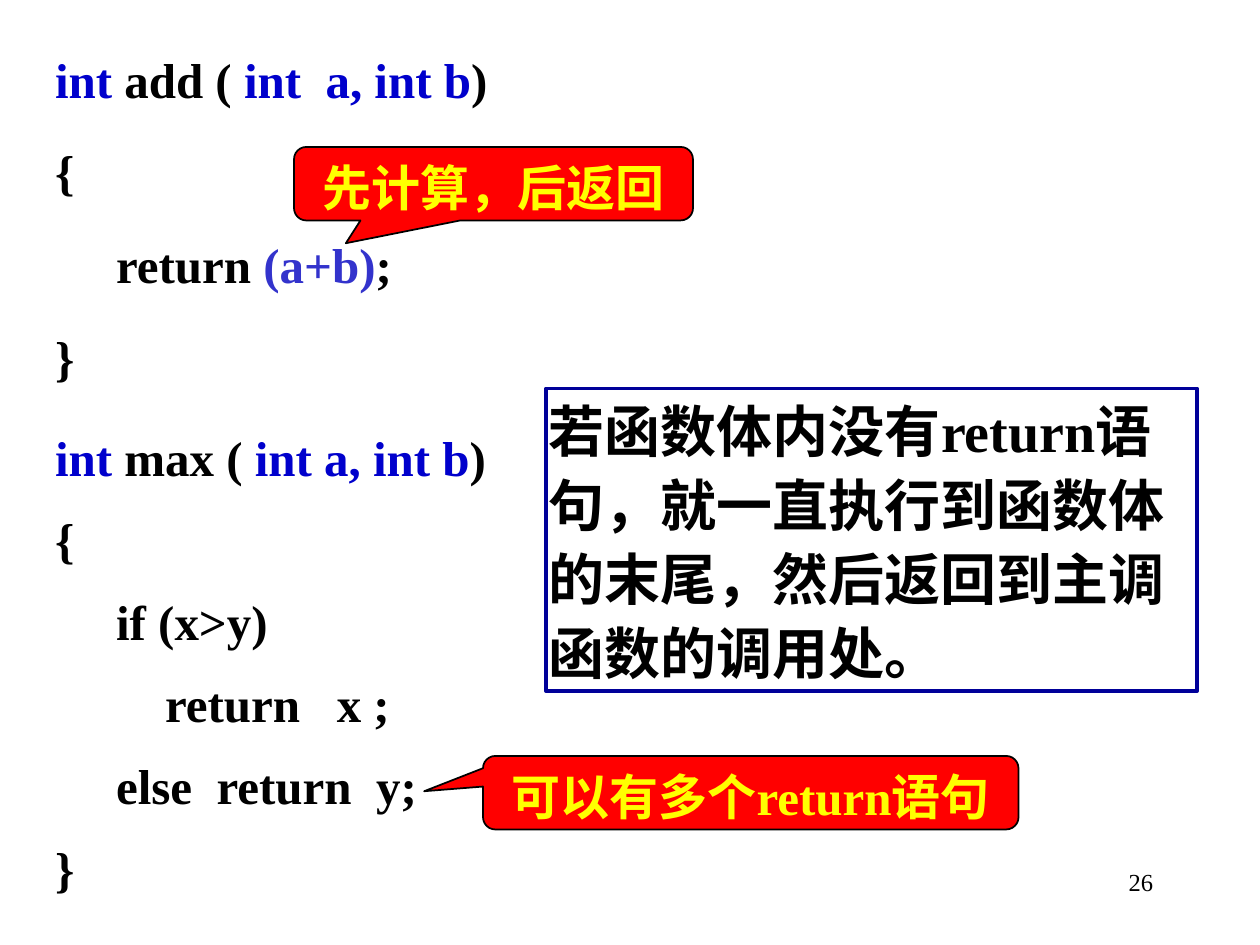
from pptx import Presentation
from pptx.dml.color import RGBColor
from pptx.enum.shapes import MSO_SHAPE
from pptx.enum.text import MSO_ANCHOR, PP_ALIGN
from pptx.util import Inches, Pt

RECT = MSO_SHAPE.RECTANGLE
BUBBLE = MSO_SHAPE.ROUNDED_RECTANGULAR_CALLOUT
TOP = MSO_ANCHOR.TOP
LEFT, MID, RIGHT = PP_ALIGN.LEFT, PP_ALIGN.CENTER, PP_ALIGN.RIGHT
FONT = "Times New Roman"
WIDE, HIGH = Inches(10), Inches(7.5)
COLS, ROWS = 120, 90
BLACK, BLUE, PALE, NAVY = "000000", "0000CC", "3333CC", "000099"
RED, YELLOW, WHITE = "FF0000", "FFFF00", "FFFFFF"

ADD = [
    [("int ", BLUE), ("add ( ", BLACK), ("int  a, int b", BLUE), (")", BLACK)],
    [("{", BLACK)],
    [("     return ", BLACK), ("(a+b)", PALE), (";", BLACK)],
    [("}", BLACK)],
]
MAX = [
    [("int", BLUE), (" max ( ", BLACK), ("int a, int b", BLUE), (")", BLACK)],
    [("{", BLACK)],
    [("     if (x>y)", BLACK)],
    [("         return   x ;", BLACK)],
    [("     else  return  y;", BLACK)],
    [("}", BLACK)],
]


def color(code):
    """Turn a hex string into a colour."""
    return RGBColor.from_string(code)


def place(box):
    """Turn columns and rows of the grid into lengths."""
    left, top, width, height = box
    return (int(WIDE * left / COLS), int(HIGH * top / ROWS),
            int(WIDE * width / COLS), int(HIGH * height / ROWS))


def write(shape, lines, size=28, bold=True, align=LEFT, gap=0, pitch=1.1,
          inset=(0.02, 0.01)):
    """Write lines of coloured runs into a shape."""
    frame = shape.text_frame
    frame.word_wrap = True
    frame.vertical_anchor = TOP
    frame.margin_left = frame.margin_right = Inches(inset[0])
    frame.margin_top = frame.margin_bottom = Inches(inset[1])
    for row, line in enumerate(lines):
        para = frame.add_paragraph() if row else frame.paragraphs[0]
        para.alignment = align
        para.line_spacing = pitch
        para.space_before = Pt(gap if row else 0)
        for text, tint in line:
            run = para.add_run()
            run.text = text
            run.font.name = FONT
            run.font.size = Pt(size)
            run.font.bold = bold
            run.font.color.rgb = color(tint)


def panel(slide, kind, box, fill, edge, width):
    """Draw a filled and outlined shape."""
    shape = slide.shapes.add_shape(kind, *place(box))
    shape.shadow.inherit = False
    shape.fill.solid()
    shape.fill.fore_color.rgb = color(fill)
    shape.line.color.rgb = color(edge)
    shape.line.width = Pt(width)
    return shape


def code(slide, box, lines, gap):
    """Place a code listing."""
    write(slide.shapes.add_textbox(*place(box)), lines, gap=gap)


def note(slide, box, text):
    """Place the framed remark."""
    shape = panel(slide, RECT, box, WHITE, NAVY, 2.25)
    shape.fill.background()
    write(shape, [[(text, BLACK)]], size=32)


def bubble(slide, box, text, tip):
    """Place a red callout whose tip is a share of its size from its centre."""
    shape = panel(slide, BUBBLE, box, RED, BLACK, 1)
    shape.adjustments[0], shape.adjustments[1] = tip
    write(shape, [[(text, YELLOW)]], align=MID)


def number(slide, box, text):
    """Place the page number."""
    write(slide.shapes.add_textbox(*place(box)), [[(text, BLACK)]], size=14,
          bold=False, align=RIGHT, pitch=1.0, inset=(0.1, 0.05))


def main():
    """Build the slide and save it."""
    deck = Presentation()
    deck.slide_width, deck.slide_height = WIDE, HIGH
    slide = deck.slides.add_slide(deck.slide_layouts[6])
    number(slide, (86, 82, 25, 6), "26")
    code(slide, (5, 4, 46, 33.4), ADD, 16)
    code(slide, (5, 40, 51, 45.7), MAX, 10)
    note(slide, (52, 37, 62, 28.8),
         "若函数体内没有return语句，就一直执行到函数体的末尾，然后返回到主调函数的调用处。")
    bubble(slide, (28, 14, 38, 7), "先计算，后返回", (-0.37, 0.81))
    bubble(slide, (46, 72, 51, 7), "可以有多个return语句", (-0.61, -0.02))
    deck.save("out.pptx")


if __name__ == "__main__":
    main()
